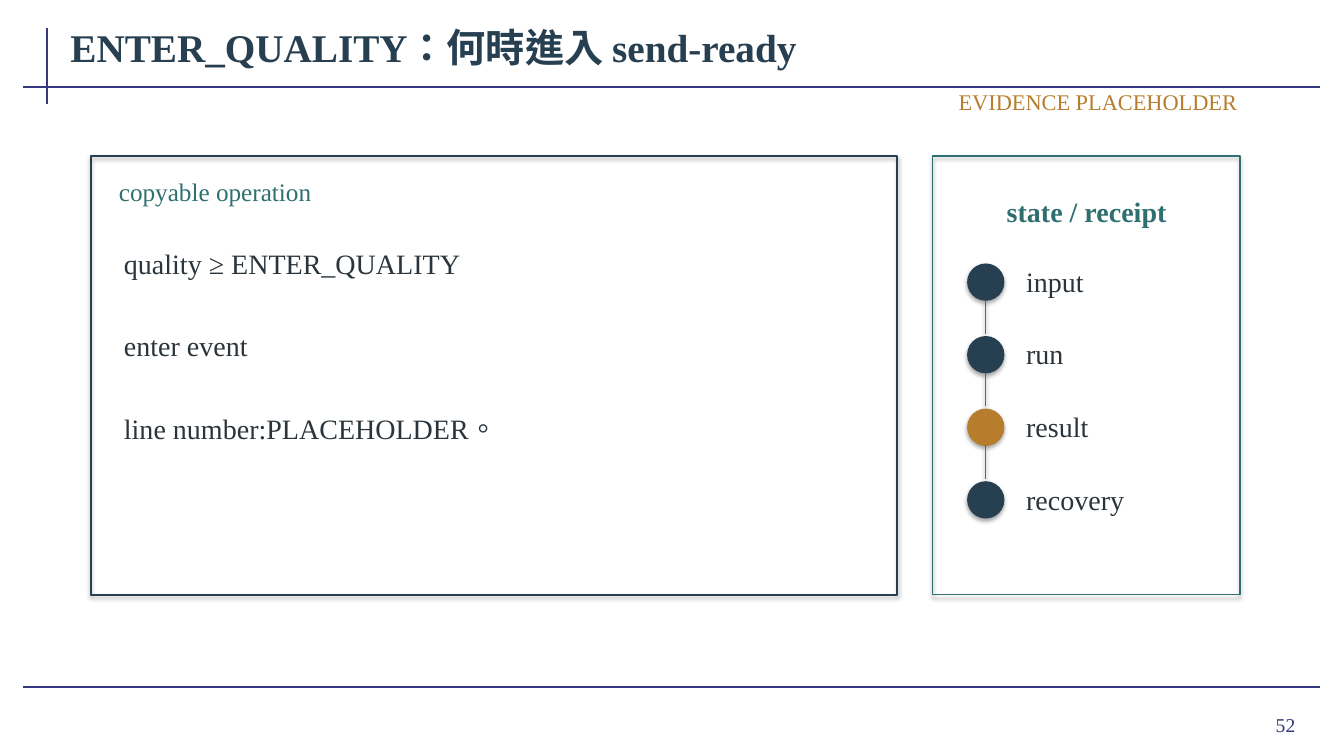
from pptx import Presentation
from pptx.dml.color import RGBColor
from pptx.enum.shapes import MSO_CONNECTOR, MSO_SHAPE
from pptx.enum.text import MSO_ANCHOR, PP_ALIGN
from pptx.oxml import parse_xml
from pptx.oxml.ns import nsdecls
from pptx.util import Pt

FONT = "Times New Roman"
NAVY, TEAL, AMBER = "263F51", "2F6F70", "B77D2D"
INDIGO, INK, GREY = "35377F", "2A343A", "59686F"


def color(value):
    return RGBColor.from_string(value)


def add_effects(shape, alpha=0, dist=0):
    """Soft shadow straight below; no shadow when alpha is 0."""
    shadow = (
        f'<a:outerShdw blurRad="{Pt(3.1)}" dist="{Pt(dist)}" dir="5400000" rotWithShape="0">'
        f'<a:srgbClr val="000000"><a:alpha val="{alpha * 1000}"/></a:srgbClr></a:outerShdw>'
    ) if alpha else ""
    xml = f'<a:effectLst {nsdecls("a")}>{shadow}</a:effectLst>'
    shape._element.spPr.append(parse_xml(xml))


def add_line(s, x1, y1, x2, y2, line, width, alpha=0, dist=0):
    c = s.shapes.add_connector(MSO_CONNECTOR.STRAIGHT, Pt(x1), Pt(y1), Pt(x2), Pt(y2))
    c.line.color.rgb = color(line)
    c.line.width = Pt(width)
    add_effects(c, alpha, dist)


def add_shape(s, kind, x, y, w, h, line, width, fill=None):
    sp = s.shapes.add_shape(kind, Pt(x), Pt(y), Pt(w), Pt(h))
    if fill:
        sp.fill.solid()
        sp.fill.fore_color.rgb = color(fill)
    else:
        sp.fill.background()
    sp.line.color.rgb = color(line)
    sp.line.width = Pt(width)
    add_effects(sp, 35, 1.8)


def add_text(s, x, y, w, h, text, size, ink, bold=False, align=PP_ALIGN.LEFT, lang="en-US"):
    tf = s.shapes.add_textbox(Pt(x), Pt(y), Pt(w), Pt(h)).text_frame
    tf.word_wrap = True
    tf.vertical_anchor = MSO_ANCHOR.MIDDLE
    tf.margin_left = tf.margin_right = Pt(5.76)
    tf.margin_top = tf.margin_bottom = Pt(2.88)
    p = tf.paragraphs[0]
    p.alignment = align
    r = p.add_run()
    r.text = text
    r.font.name = FONT
    r.font.size = Pt(size)
    r.font.bold = bold
    r.font.color.rgb = color(ink)
    r._r.get_or_add_rPr().set("lang", lang)


def add_frame(s, x, y, w, h, number):
    # Rules around the page and the page number
    add_line(s, x + 17, y + 20, x + 17, y + 74, INDIGO, 1.5)
    for rule_y in (y + 62, y + h - 49):
        add_line(s, x, rule_y, x + w, rule_y, INDIGO, 1.5)
    add_text(s, x + w - 83.4, y + h - 41, 71.2, 37.4, number, 14, INDIGO, align=PP_ALIGN.RIGHT)


def add_header(s, x, y, w, title, tag):
    add_text(s, x, y, w, 44.6, title, 28, NAVY, bold=True, lang="zh-TW")
    add_text(s, x + w - 284.8, y + 51.1, 230.4, 21.6, tag, 16, AMBER, align=PP_ALIGN.RIGHT)


def add_operation(s, x, y, w, h, heading, steps):
    add_shape(s, MSO_SHAPE.RECTANGLE, x, y, w, h, NAVY, 1.4)
    add_text(s, x + 14.4, y + 12.2, w - 28.8, 25.2, heading, 18, TEAL)
    for i, step in enumerate(steps):
        add_text(s, x + 18, y + 50.4 + 59.04 * i, w - 46.8, 51.8, step, 20, INK, lang="zh-TW")


def add_receipt(s, x, y, w, h, heading, states, active):
    add_shape(s, MSO_SHAPE.RECTANGLE, x, y, w, h, TEAL, 1.1)
    add_text(s, x + 16.6, y + 19.4, 187.2, 39.6, heading, 20, TEAL, True, PP_ALIGN.CENTER)
    # Chain of dots, each linked to the next
    dot, step, dot_x = 25.92, 51.84, x + 25.2
    for i, state in enumerate(states):
        dot_y = y + 77 + step * i
        fill = AMBER if state == active else NAVY
        add_shape(s, MSO_SHAPE.OVAL, dot_x, dot_y, dot, dot, fill, 0.75, fill)
        add_text(s, dot_x + 36, dot_y - 2.16, 133.2, 28.8, state, 20, INK)
        if i < len(states) - 1:
            mid = dot_x + dot / 2
            add_line(s, mid, dot_y + dot, mid, dot_y + step - 2.16, GREY, 0.9, 38, 1.6)


def main():
    prs = Presentation()
    prs.slide_width, prs.slide_height = Pt(960), Pt(540)
    s = prs.slides.add_slide(prs.slide_layouts[6])
    add_frame(s, 16.6, 0, 926.6, 540, "52")
    add_header(s, 44.6, 10.8, 899.3, "ENTER_QUALITY：何時進入 send-ready", "EVIDENCE PLACEHOLDER")
    add_operation(s, 64.8, 111.6, 576, 313.2, "copyable operation",
                  ["quality ≥ ENTER_QUALITY", "enter event", "line number:PLACEHOLDER。"])
    add_receipt(s, 666, 111.6, 219.6, 313.2, "state / receipt",
                ["input", "run", "result", "recovery"], "result")
    prs.save("out.pptx")


if __name__ == "__main__":
    main()
